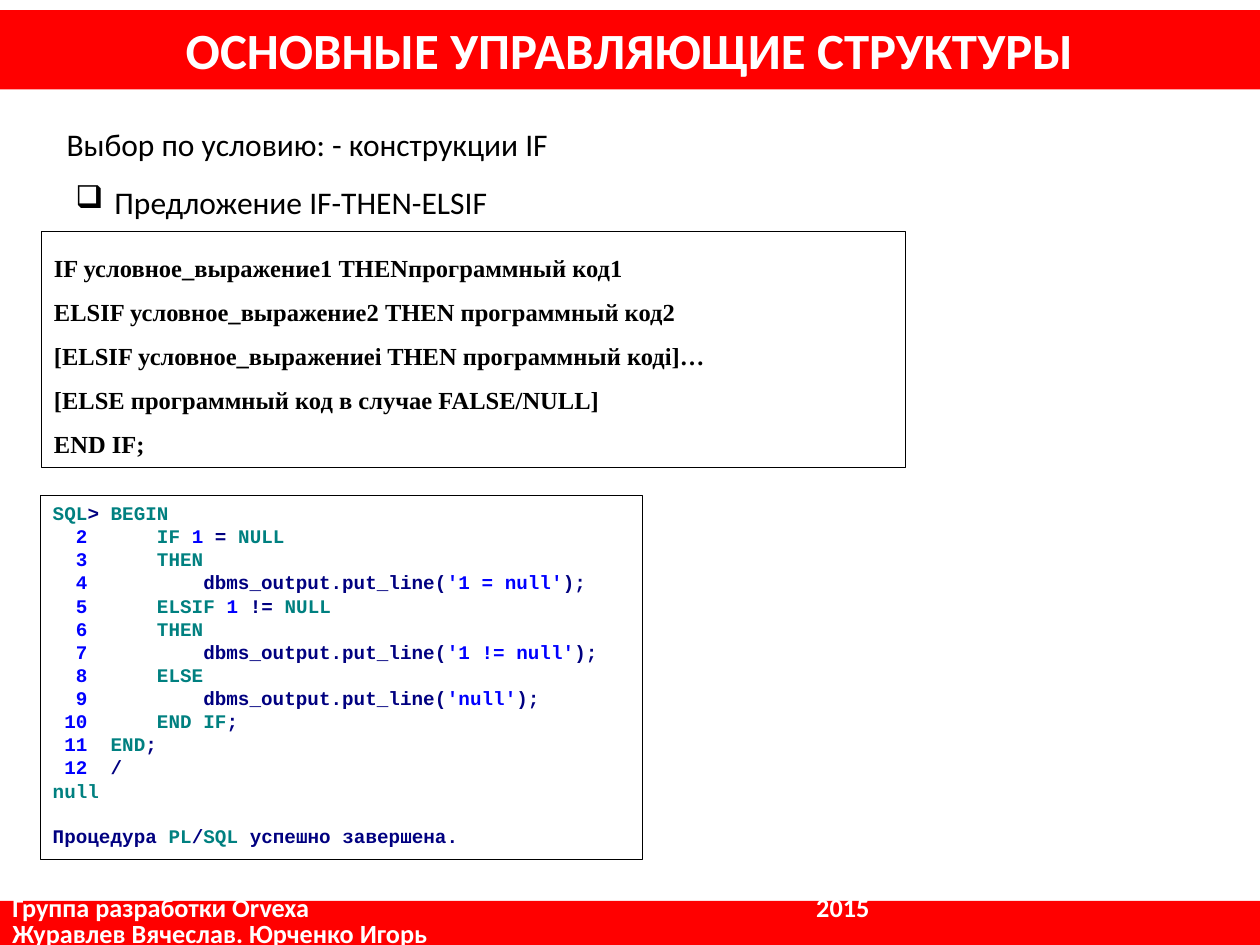
from dataclasses import dataclass

from lxml import etree
from pptx import Presentation
from pptx.dml.color import RGBColor
from pptx.enum.shapes import MSO_SHAPE as Shape
from pptx.enum.text import MSO_ANCHOR as Anchor, PP_ALIGN as Align
from pptx.oxml.ns import qn
from pptx.util import Inches, Pt


@dataclass(frozen=True)
class Theme:
    band: str = "FF0000"
    paper: str = "FFFFFF"
    ink: str = "000000"
    keyword: str = "008080"
    literal: str = "0000FF"
    plain: str = "000080"
    body_font: str = "Calibri"
    syntax_font: str = "Times New Roman"
    code_font: str = "Courier New"
    title_size: float = 29
    body_size: float = 18
    footer_size: float = 15
    syntax_size: float = 14
    code_size: float = 11


THEME = Theme()
KEYWORD, LITERAL, PLAIN = THEME.keyword, THEME.literal, THEME.plain

SYNTAX = [
    "IF условное_выражение1 THENпрограммный код1",
    "ELSIF условное_выражение2 THEN программный код2",
    "[ELSIF условное_выражениеi THEN программный кодi]…",
    "[ELSE программный код в случае FALSE/NULL]",
    "END IF;",
]


def condition(word, operator):
    return [(f"      {word} ", KEYWORD), ("1", LITERAL),
            (f" {operator} ", PLAIN), ("NULL", KEYWORD)]


def keyword(word, indent=6):
    return [(" " * indent + word, KEYWORD)]


def output(text):
    return [("          dbms_output.put_line(", PLAIN),
            (f"'{text}'", LITERAL), (");", PLAIN)]


NUMBERED_CODE = [
    condition("IF", "="),
    keyword("THEN"),
    output("1 = null"),
    condition("ELSIF", "!="),
    keyword("THEN"),
    output("1 != null"),
    keyword("ELSE"),
    output("null"),
    keyword("END IF") + [(";", PLAIN)],
    keyword("END", 2) + [(";", PLAIN)],
    [("  /", PLAIN)],
]
SESSION = [
    [("SQL", KEYWORD), ("> ", PLAIN), ("BEGIN", KEYWORD)],
    *([(f"{number:>3}", LITERAL)] + line
      for number, line in enumerate(NUMBERED_CODE, 2)),
    [("null", KEYWORD)],
]
RESULT = [("Процедура ", PLAIN), ("PL", KEYWORD), ("/", PLAIN),
          ("SQL", KEYWORD), (" успешно завершена.", PLAIN)]


def write(paragraph, content, *, size, font=THEME.body_font, color=THEME.ink,
          bold=False, align=Align.LEFT, spacing=None, before=None):
    paragraph.alignment = align
    paragraph.line_spacing = spacing
    paragraph.space_before = before
    runs = [(content, color)] if isinstance(content, str) else content
    for text, run_color in runs:
        run = paragraph.add_run()
        run.text = text
        run.font.name = font
        run.font.size = Pt(size)
        run.font.bold = bold
        run.font.color.rgb = RGBColor.from_string(run_color)


@dataclass
class SlideBuilder:
    theme: Theme
    slide: object

    def fill_frame(self, frame, lines, **style):
        frame.word_wrap = True
        for index, line in enumerate(lines):
            paragraph = frame.add_paragraph() if index else frame.paragraphs[0]
            write(paragraph, line, **style)
        return frame

    def panel(self, left, top, width, height, lines, *, fill, outline=None,
              anchor=Anchor.TOP, **style):
        shape = self.slide.shapes.add_shape(
            Shape.RECTANGLE, *map(Inches, (left, top, width, height)))
        shape.shadow.inherit = False
        shape.fill.solid()
        shape.fill.fore_color.rgb = RGBColor.from_string(fill)
        if outline:
            shape.line.color.rgb = RGBColor.from_string(outline)
            shape.line.width = Pt(0.75)
        else:
            shape.line.fill.background()
        shape.text_frame.vertical_anchor = anchor
        return self.fill_frame(shape.text_frame, lines, **style)

    def band(self, top, height, lines, **style):
        return self.panel(0, top, 10, height, lines, fill=self.theme.band,
                          anchor=Anchor.MIDDLE, color=self.theme.paper,
                          bold=True, **style)

    def code_box(self, left, top, width, height, lines, **style):
        return self.panel(left, top, width, height, lines,
                          fill=self.theme.paper, outline=self.theme.ink,
                          bold=True, **style)

    def label(self, left, top, width, height, text, bullet=None):
        box = self.slide.shapes.add_textbox(
            *map(Inches, (left, top, width, height)))
        frame = self.fill_frame(box.text_frame, [text],
                                size=self.theme.body_size)
        if bullet:
            properties = frame.paragraphs[0]._p.get_or_add_pPr()
            properties.set("marL", str(Inches(0.31)))
            properties.set("indent", str(-Inches(0.31)))
            etree.SubElement(properties, qn("a:buChar"), char=bullet)

    def footer(self, top, height, group, year, authors):
        frame = self.band(top, height, [f"{group}\t{year}", authors],
                          size=self.theme.footer_size, spacing=0.8)
        properties = frame.paragraphs[0]._p.get_or_add_pPr()
        tabs = etree.SubElement(properties, qn("a:tabLst"))
        etree.SubElement(tabs, qn("a:tab"), pos=str(Inches(6.38)), algn="l")


def main():
    presentation = Presentation()
    presentation.slide_width, presentation.slide_height = Inches(10), Inches(7.5)
    slide = presentation.slides.add_slide(presentation.slide_layouts[6])
    builder = SlideBuilder(THEME, slide)

    builder.band(0.08, 0.63, ["ОСНОВНЫЕ УПРАВЛЯЮЩИЕ СТРУКТУРЫ"],
                 size=THEME.title_size, align=Align.CENTER)
    builder.label(0.43, 0.94, 6.5, 0.4, "Выбор по условию: - конструкции IF")
    builder.label(0.5, 1.4, 3.51, 0.4, "Предложение IF-THEN-ELSIF", bullet="❑")
    builder.code_box(0.33, 1.84, 6.86, 1.87, SYNTAX, font=THEME.syntax_font,
                     size=THEME.syntax_size, align=Align.JUSTIFY, spacing=1.5)

    code_style = dict(font=THEME.code_font, size=THEME.code_size)
    session = builder.code_box(0.32, 3.93, 4.78, 2.89, SESSION, **code_style)
    write(session.add_paragraph(), RESULT, bold=True, align=Align.JUSTIFY,
          before=Pt(13), **code_style)

    builder.footer(7.15, 0.35, "Группа разработки Orvexa", "2015",
                   "Журавлев Вячеслав. Юрченко Игорь")
    presentation.save("out.pptx")


if __name__ == "__main__":
    main()
